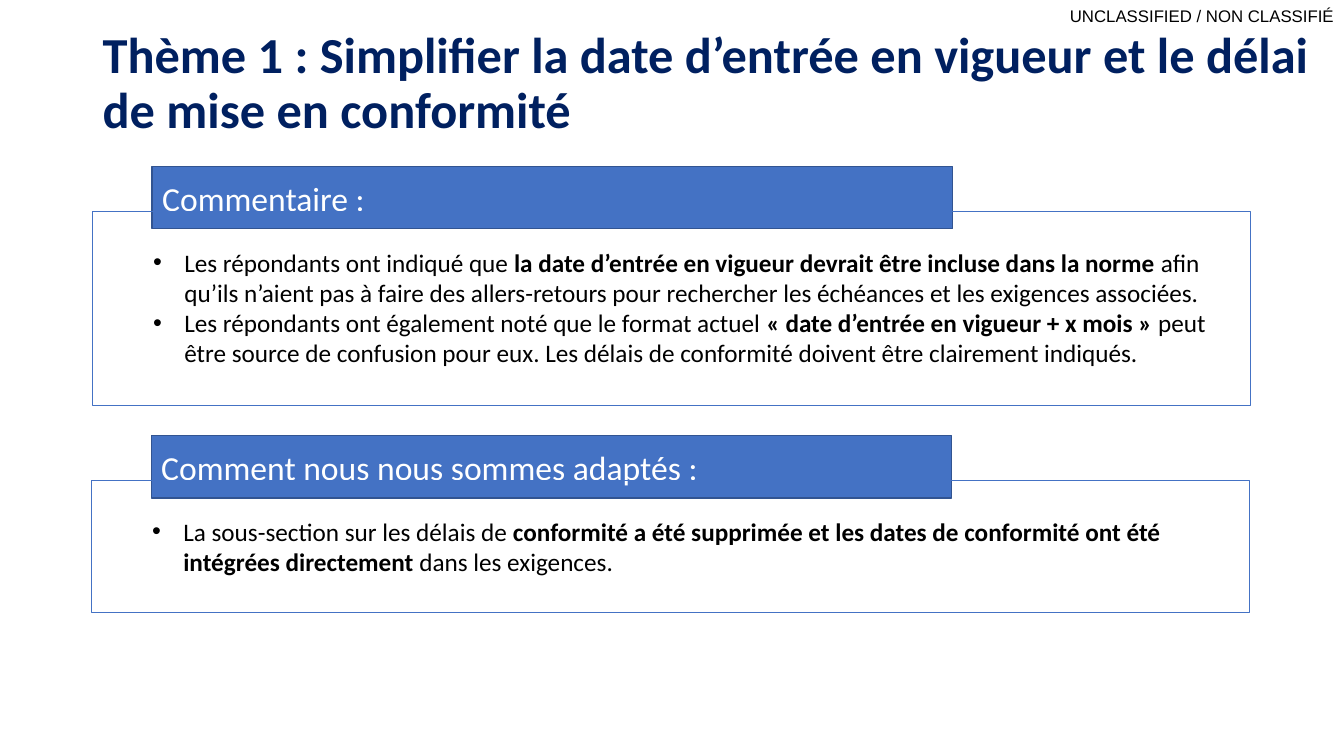
from dataclasses import dataclass

from lxml import etree
from pptx import Presentation
from pptx.dml.color import RGBColor
from pptx.enum.shapes import MSO_SHAPE
from pptx.enum.text import MSO_ANCHOR, PP_ALIGN
from pptx.oxml.ns import qn
from pptx.util import Inches, Pt

RECTANGLE = MSO_SHAPE.RECTANGLE
TOP, MIDDLE = MSO_ANCHOR.TOP, MSO_ANCHOR.MIDDLE
LEFT, RIGHT = PP_ALIGN.LEFT, PP_ALIGN.RIGHT
BLANK_LAYOUT = 6


@dataclass(frozen=True)
class Theme:
    """Colours, fonts, type sizes and the grid of the slide."""
    navy: str = "002060"
    blue: str = "4472C4"
    dark_blue: str = "325491"
    black: str = "000000"
    white: str = "FFFFFF"
    text_font: str = "Calibri"
    marking_font: str = "Arial"
    title_size: int = 36
    heading_size: int = 24
    body_size: int = 18
    marking_size: int = 12
    cell: float = 0.1
    columns: float = 133.3
    rows: float = 75


class SlideBuilder:
    """Adds styled elements to one slide; lengths are grid cells."""

    def __init__(self, presentation, theme):
        """Set the slide size and start a blank slide."""
        self.theme = theme
        presentation.slide_width = self.length(theme.columns)
        presentation.slide_height = self.length(theme.rows)
        self.slide = presentation.slides.add_slide(
            presentation.slide_layouts[BLANK_LAYOUT])

    def length(self, cells):
        """Turn grid cells into a slide length."""
        return Inches(cells * self.theme.cell)

    def format_frame(self, shape, **values):
        """Wrap the text and apply frame settings."""
        for name, value in {"word_wrap": True, **values}.items():
            setattr(shape.text_frame, name, value)

    def add_runs(self, paragraph, parts, size, color, font=None, align=LEFT):
        """Put (text, bold) parts into a paragraph."""
        paragraph.alignment = align
        for text, bold in parts:
            run = paragraph.add_run()
            run.text = text
            values = {"name": font or self.theme.text_font,
                      "size": Pt(size), "bold": bold}
            for name, value in values.items():
                setattr(run.font, name, value)
            run.font.color.rgb = RGBColor.from_string(color)

    def text(self, box, text, size, color, font=None, bold=False,
             align=LEFT, spacing=1.0, **frame):
        """Add a single-paragraph text box."""
        shape = self.slide.shapes.add_textbox(*map(self.length, box))
        self.format_frame(shape, vertical_anchor=MIDDLE, **frame)
        paragraph = shape.text_frame.paragraphs[0]
        paragraph.line_spacing = spacing
        self.add_runs(paragraph, [(text, bold)], size, color, font, align)

    def rectangle(self, box, line, weight, fill=None):
        """Add a flat rectangle, hollow when no fill is given."""
        shape = self.slide.shapes.add_shape(RECTANGLE, *map(self.length, box))
        shape.shadow.inherit = False
        if fill:
            shape.fill.solid()
            shape.fill.fore_color.rgb = RGBColor.from_string(fill)
        else:
            shape.fill.background()
        shape.line.color.rgb = RGBColor.from_string(line)
        shape.line.width = Pt(weight)
        return shape

    def bullet(self, paragraph, margin=8.1, hanging=3.1):
        """Give a paragraph a round bullet and a hanging indent."""
        properties = paragraph._p.get_or_add_pPr()
        properties.set("marL", str(self.length(margin)))
        properties.set("indent", str(-self.length(hanging)))
        etree.SubElement(properties, qn("a:buFont"), typeface="Arial")
        etree.SubElement(properties, qn("a:buChar"), char="•")

    def panel(self, left, top, height, heading, bullets):
        """Add a heading tab overlapping an outlined box of bullets."""
        theme = self.theme
        tab = self.rectangle((left + 5.9, top, 79.4, 6.2),
                             theme.dark_blue, 1, theme.blue)
        self.format_frame(tab, vertical_anchor=MIDDLE)
        self.add_runs(tab.text_frame.paragraphs[0], [(heading, False)],
                      theme.heading_size, theme.white)

        body = self.rectangle((left, top + 4.5, 114.8, height),
                              theme.blue, 0.75)
        self.format_frame(body, vertical_anchor=TOP,
                          margin_top=self.length(3.5))
        frame = body.text_frame
        for index, parts in enumerate(bullets):
            paragraph = frame.add_paragraph() if index else frame.paragraphs[0]
            self.add_runs(paragraph, parts, theme.body_size, theme.black)
            self.bullet(paragraph)


COMMENTS = [
    [("Les répondants ont indiqué que ", False),
     ("la date d’entrée en vigueur devrait être incluse dans la norme", True),
     (" afin qu’ils n’aient pas à faire des allers-retours pour rechercher "
      "les échéances et les exigences associées.", False)],
    [("Les répondants ont également noté que le format actuel ", False),
     ("«\u00a0date d’entrée en vigueur + x mois\u00a0»", True),
     (" peut être source de confusion pour eux. Les délais de conformité "
      "doivent être clairement indiqués.", False)],
]
ADAPTATIONS = [
    [("La sous-section sur les délais de ", False),
     ("conformité a été supprimée et les dates de conformité ont été "
      "intégrées directement", True),
     (" dans les exigences.", False)],
]


def main():
    """Build and save the slide."""
    theme = Theme()
    presentation = Presentation()
    builder = SlideBuilder(presentation, theme)
    builder.text((103.1, 0, 30.2, 3.1), "UNCLASSIFIED / NON CLASSIFIÉ",
                 theme.marking_size, theme.black, theme.marking_font,
                 align=RIGHT, margin_left=0, margin_right=builder.length(1),
                 margin_top=0, margin_bottom=0)
    builder.text((9.2, 2.5, 124.1, 11.8),
                 "Thème\u00a01\u00a0:\u00a0Simplifier la date d’entrée en "
                 "vigueur et le délai de mise en conformité",
                 theme.title_size, theme.navy, bold=True, spacing=0.9,
                 margin_right=0)
    builder.panel(9.2, 16.5, 19.2, "Commentaire\u00a0:", COMMENTS)
    builder.panel(9.1, 43.2, 13.1, "Comment nous nous sommes adaptés\u00a0:",
                  ADAPTATIONS)
    presentation.save("out.pptx")


main()
